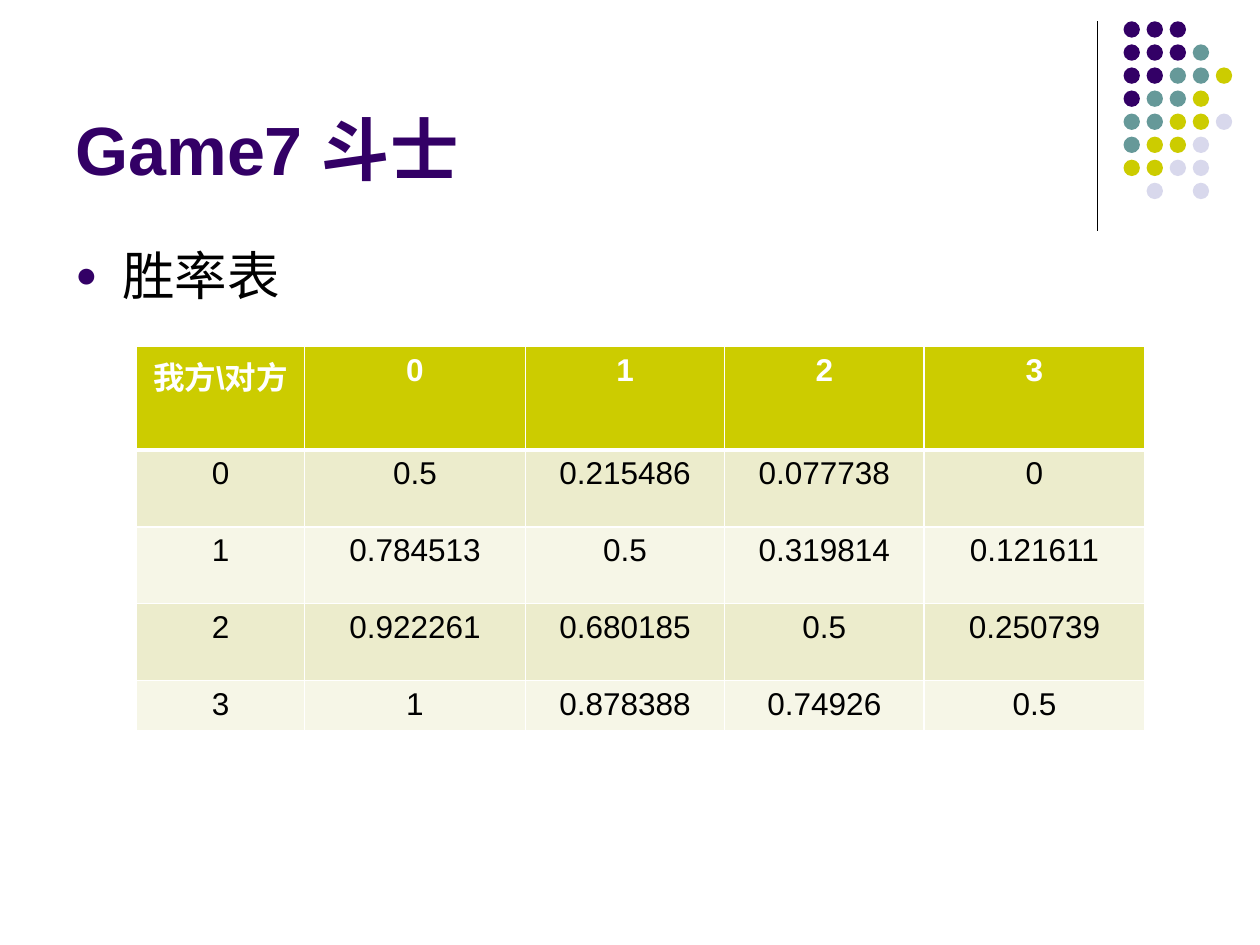
from lxml.etree import SubElement
from pptx import Presentation
from pptx.dml.color import RGBColor
from pptx.enum.shapes import MSO_CONNECTOR, MSO_SHAPE
from pptx.enum.text import MSO_ANCHOR, PP_ALIGN
from pptx.oxml.ns import qn
from pptx.util import Cm, Pt

PURPLE, TEAL, LIME, LILAC = "330066", "669999", "CCCC00", "D8D8EC"
WHITE, BLACK = "FFFFFF", "000000"
BAND_DARK, BAND_LIGHT = "ECECCC", "F6F6E7"

# One letter per dot, a full stop for a gap
DOT_ROWS = ["PPP..", "PPPT.", "PPTTL", "PTTL.", "TTLLV", "TLLV.", "LLVV.", ".V.V."]
DOT_COLOURS = {"P": PURPLE, "T": TEAL, "L": LIME, "V": LILAC}

WIN_RATES = [
    ["我方\\对方", "0", "1", "2", "3"],
    ["0", "0.5", "0.215486", "0.077738", "0"],
    ["1", "0.784513", "0.5", "0.319814", "0.121611"],
    ["2", "0.922261", "0.680185", "0.5", "0.250739"],
    ["3", "1", "0.878388", "0.74926", "0.5"],
]
COLUMN_WIDTHS = [3.39, 4.45, 4.02, 4.02, 4.45]
# The header holds two lines of text
ROW_HEIGHTS = [2.08, 1.55, 1.55, 1.55, 0.84]


def colour(hex_code):
    return RGBColor.from_string(hex_code)


def style_text(paragraph, size, hex_code, bold=False):
    for run in paragraph.runs:
        run.font.name = "Arial"
        run.font.size = Pt(size)
        run.font.bold = bold
        run.font.color.rgb = colour(hex_code)


def add_text(slide, box, text, anchor):
    frame = slide.shapes.add_textbox(*map(Cm, box)).text_frame
    frame.word_wrap = True
    frame.vertical_anchor = anchor
    frame.text = text
    return frame.paragraphs[0]


def add_corner(slide, left, top, width, height):
    """Vertical rule with a grid of dots to its right."""
    rule = slide.shapes.add_connector(
        MSO_CONNECTOR.STRAIGHT, Cm(left), Cm(top), Cm(left), Cm(top + height))
    rule.line.color.rgb = colour(BLACK)
    rule.line.width = Pt(0.75)
    SubElement(rule._element.spPr, qn("a:effectLst"))

    dot_size, rule_gap = 0.33, 0.53
    pitch = (width - rule_gap - dot_size) / (len(DOT_ROWS[0]) - 1)
    for row, letters in enumerate(DOT_ROWS):
        for column, letter in enumerate(letters):
            if letter == ".":
                continue
            dot = slide.shapes.add_shape(
                MSO_SHAPE.OVAL, Cm(left + rule_gap + column * pitch),
                Cm(top + row * pitch), Cm(dot_size), Cm(dot_size))
            dot.shadow.inherit = False
            dot.fill.solid()
            dot.fill.fore_color.rgb = colour(DOT_COLOURS[letter])
            dot.line.fill.background()


def add_title(slide, *box):
    title = add_text(slide, box, "Game7 斗士", MSO_ANCHOR.BOTTOM)
    style_text(title, 39, PURPLE, bold=True)


def add_body(slide, *box):
    point = add_text(slide, box, "胜率表", MSO_ANCHOR.TOP)
    style_text(point, 30, BLACK)
    point.space_before = Pt(6)
    # Hanging bullet
    properties = point._p.get_or_add_pPr()
    properties.set("marL", str(Cm(0.95)))
    properties.set("indent", str(-Cm(0.95)))
    bullet_colour = SubElement(properties, qn("a:buClr"))
    SubElement(bullet_colour, qn("a:srgbClr"), val=PURPLE)
    SubElement(properties, qn("a:buSzPct"), val="70000")
    SubElement(properties, qn("a:buFont"), typeface="Arial")
    SubElement(properties, qn("a:buChar"), char="●")


def add_borders(cell, top, bottom):
    properties = cell._tc.get_or_add_tcPr()
    for side, points in (("L", 1), ("R", 1), ("T", top), ("B", bottom)):
        border = SubElement(properties, qn(f"a:ln{side}"), w=str(Pt(points)))
        SubElement(SubElement(border, qn("a:solidFill")), qn("a:srgbClr"), val=WHITE)


def add_win_rates(slide, left, top):
    table = slide.shapes.add_table(
        len(ROW_HEIGHTS), len(COLUMN_WIDTHS), Cm(left), Cm(top),
        Cm(sum(COLUMN_WIDTHS)), Cm(sum(ROW_HEIGHTS))).table
    for column, width in zip(table.columns, COLUMN_WIDTHS):
        column.width = Cm(width)
    for row, height in zip(table.rows, ROW_HEIGHTS):
        row.height = Cm(height)

    for r, values in enumerate(WIN_RATES):
        header = r == 0
        band = LIME if header else BAND_DARK if r % 2 else BAND_LIGHT
        for c, value in enumerate(values):
            cell = table.cell(r, c)
            cell.text_frame.text = value
            paragraph = cell.text_frame.paragraphs[0]
            paragraph.alignment = PP_ALIGN.CENTER
            style_text(paragraph, 18, WHITE if header else BLACK, bold=header)
            # Heavier rule between header and values
            add_borders(cell, top=3 if r == 1 else 1, bottom=3 if header else 1)
            cell.fill.solid()
            cell.fill.fore_color.rgb = colour(band)


def main():
    deck = Presentation()
    deck.slide_width, deck.slide_height = Cm(25.4), Cm(19.05)
    slide = deck.slides.add_slide(deck.slide_layouts[6])
    add_corner(slide, 22.12, 0.43, 2.72, 4.23)
    add_title(slide, 1.27, 0.33, 20.96, 3.6)
    add_win_rates(slide, 2.75, 6.99)
    add_body(slide, 1.27, 4.78, 22.86, 12.24)
    deck.save("out.pptx")


if __name__ == "__main__":
    main()
